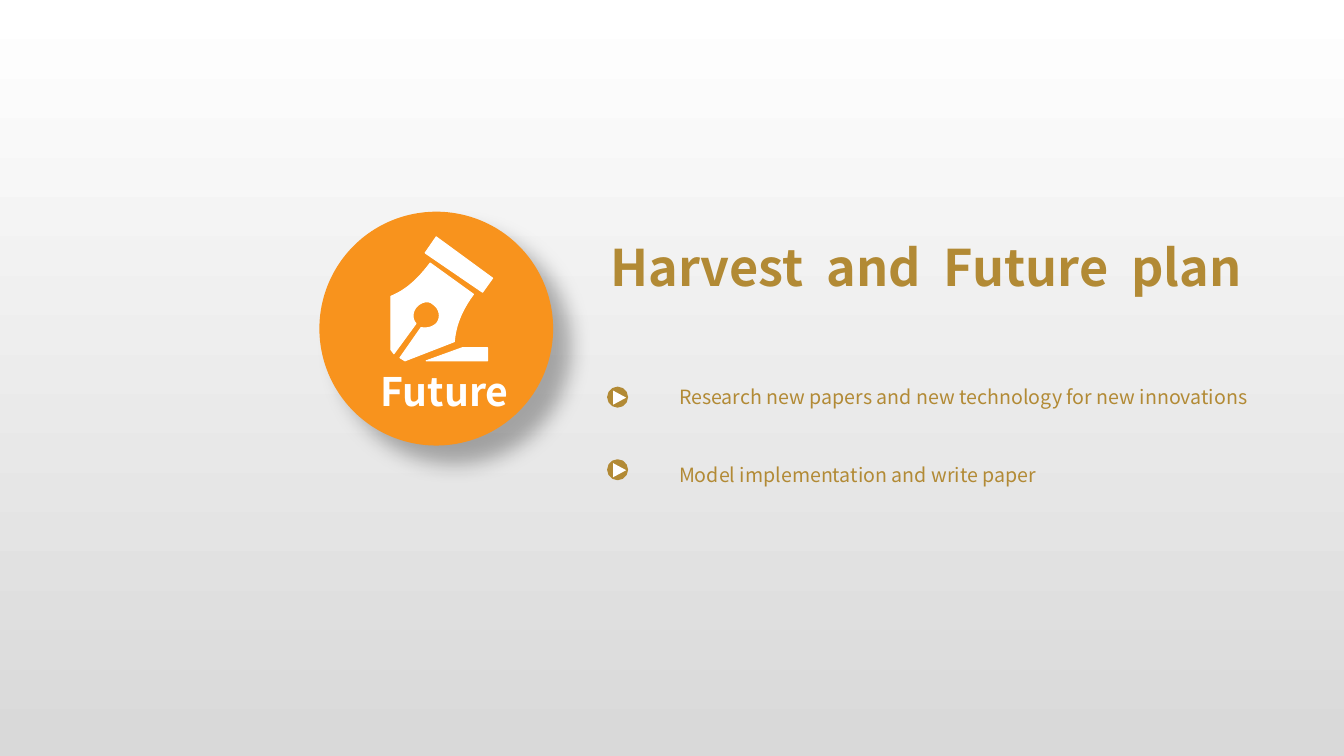
from lxml.etree import SubElement
from pptx import Presentation
from pptx.dml.color import RGBColor as Rgb
from pptx.enum.shapes import MSO_SHAPE as Preset
from pptx.enum.text import MSO_ANCHOR as Anchor, MSO_AUTO_SIZE as Fit
from pptx.oxml.ns import qn
from pptx.util import Inches, Pt

COLORS = {"orange": "F8931D", "gold": "B28A35", "white": "FFFFFF", "silver": "D9D9D9", "black": "000000"}
CELL = Inches(0.1)
FONT = "Noto Sans CJK SC"


def rgb(name):
    return Rgb.from_string(COLORS[name])


def cells(*counts):
    return [round(count * CELL) for count in counts]


def curve(a, b, c, d, steps=12):
    def point(t):
        u = 1 - t
        return tuple(u**3 * p + 3 * u * u * t * q + 3 * u * t * t * r + t**3 * s
                     for p, q, r, s in zip(a, b, c, d))
    return [point(i / steps) for i in range(steps + 1)]


class SlideKit:
    def __init__(self, deck):
        self.slide = deck.slides.add_slide(deck.slide_layouts[6])

    def background(self, top, bottom):
        fill = self.slide.background.fill
        fill.gradient()
        fill.gradient_angle = 270
        for stop, position, name in zip(fill.gradient_stops, (0, 0.99), (top, bottom)):
            stop.position = position
            stop.color.rgb = rgb(name)

    def paint(self, shape, color, line=None):
        shape.shadow.inherit = False
        shape.fill.solid()
        shape.fill.fore_color.rgb = rgb(color)
        if line:
            shape.line.color.rgb = rgb(color)
            shape.line.width = Pt(line)
        else:
            shape.line.fill.background()
        return shape

    def preset(self, kind, box, color, line=None, parent=None):
        shapes = (parent or self.slide).shapes
        return self.paint(shapes.add_shape(kind, *cells(*box)), color, line)

    def drop_shadow(self, shape, color, opacity, blur, distance, angle):
        effects = shape._element.spPr.find(qn("a:effectLst"))
        shadow = SubElement(effects, qn("a:outerShdw"), blurRad=str(Pt(blur)), dist=str(Pt(distance)),
                            dir=str(angle * 60000), algn="tl", rotWithShape="0")
        tint = SubElement(shadow, qn("a:srgbClr"), val=COLORS[color])
        SubElement(tint, qn("a:alpha"), val=str(opacity * 1000))

    def outline(self, contours, color, line):
        (first, *rest), *others = [[cells(*point) for point in contour] for contour in contours]
        builder = self.slide.shapes.build_freeform(*first)
        builder.add_line_segments(rest)
        for start, *points in others:
            builder.move_to(*start)
            builder.add_line_segments(points)
        return self.paint(builder.convert_to_shape(), color, line)

    def text(self, words, box, size, color, bold=False, tight=False):
        frame = self.slide.shapes.add_textbox(*cells(*box)).text_frame
        frame.word_wrap = True
        if tight:
            frame.margin_left = frame.margin_right = frame.margin_top = frame.margin_bottom = 0
            frame.auto_size = Fit.SHAPE_TO_FIT_TEXT
        else:
            frame.vertical_anchor = Anchor.MIDDLE
        paragraph = frame.paragraphs[0]
        paragraph.text = words
        font = paragraph.font
        font.name, font.size, font.bold = FONT, Pt(size), bold
        font.color.rgb = rgb(color)

    def play_marker(self, row):
        marker = self.slide.shapes.add_group_shape()
        self.preset(Preset.OVAL, (60.4, row, 1.8, 1.8), "gold", 2, marker)
        arrow = self.preset(Preset.ISOSCELES_TRIANGLE, (60.8, row + 0.3, 1.4, 1.3), "white", parent=marker)
        arrow.rotation = 90


def main():
    deck = Presentation()
    deck.slide_width, deck.slide_height = Inches(13.34), Inches(7.5)
    kit = SlideKit(deck)
    kit.background("white", "silver")

    badge = kit.preset(Preset.OVAL, (31.7, 21, 23.2, 23.2), "orange")
    kit.drop_shadow(badge, "black", opacity=30, blur=15, distance=18, angle=45)
    kit.text("Future", (36.8, 34.4, 18.1, 8.8), 28, "white", bold=True)
    kit.text("Harvest  and  Future  plan", (59.6, 22.8, 70.7, 7.3), 36, "gold", bold=True)

    nib = [
        (39.1, 35.1), (38.8, 34.7),
        *curve((38.8, 29.4), (40.3, 28.8), (41.5, 27.7), (42.7, 26.1)),
        *curve((47, 29.2), (45.8, 30.8), (45.2, 32.4), (45.1, 33.9)),
        (40.2, 35.8), (39.7, 35.5),
        *curve((41.8, 32.5), (42.3, 32.6), (43, 32.5), (43.4, 32)),
        *curve((43.4, 32), (43.8, 31.4), (43.6, 30.6), (43, 30.2)),
        *curve((43, 30.2), (42.5, 29.7), (41.7, 30), (41.3, 30.5)),
        *curve((41.3, 30.5), (40.9, 31), (40.9, 31.7), (41.3, 32.1)),
    ]
    stroke = [(42.3, 35.8), (48.4, 35.8), (48.4, 34.5), (45.9, 34.5)]
    collar = [(47.9, 29), (48.9, 27.6), (43.3, 23.5), (42.2, 25.1)]
    kit.outline([nib, stroke, collar], "white", 0.75)

    plans = [
        ("Research new papers and new technology for new innovations", 38.5, 38.2),
        ("Model implementation and write paper", 45.7, 45.9),
    ]
    for plan, marker_row, text_row in plans:
        kit.play_marker(marker_row)
        kit.text(plan, (67.4, text_row, 59.1, 2.4), 14, "gold", tight=True)

    deck.save("out.pptx")


if __name__ == "__main__":
    main()
